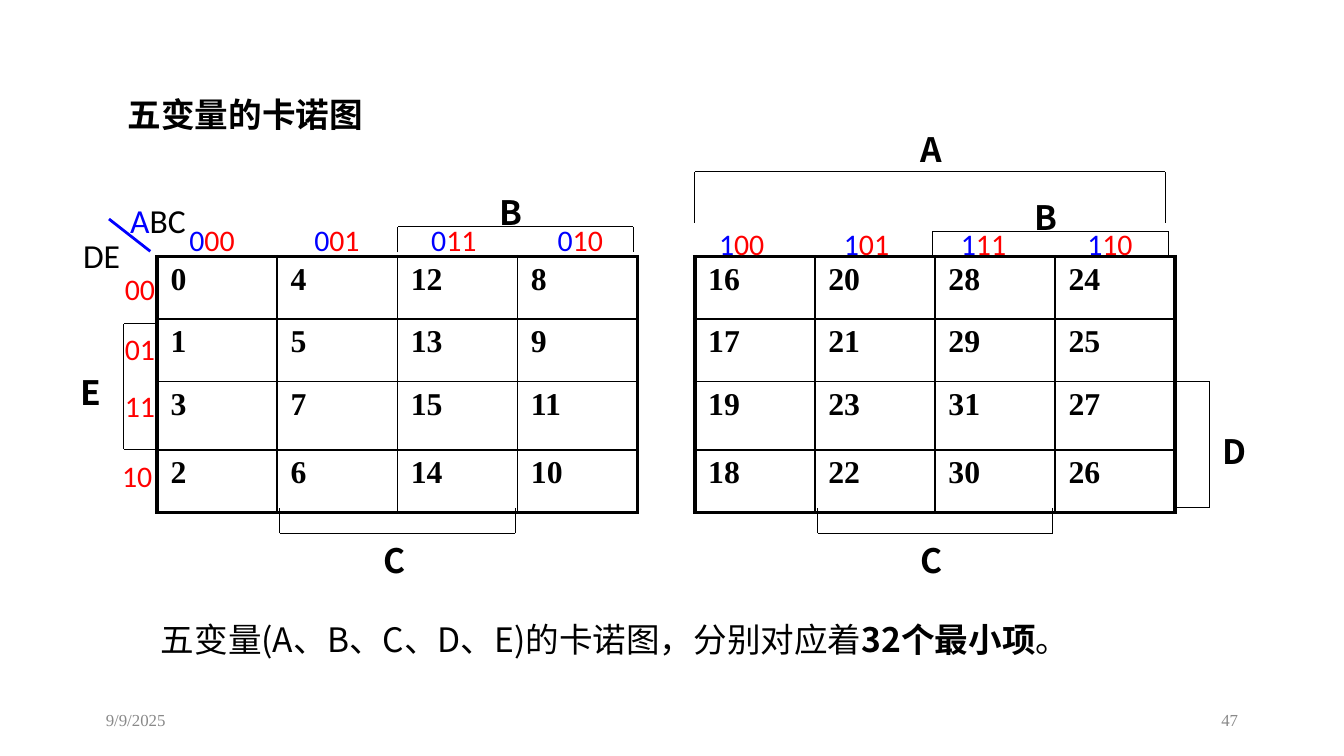
import pptx
import pptx.dml.color
import pptx.enum.shapes
import pptx.enum.text
import pptx.oxml
import pptx.oxml.ns
import pptx.util
from pptx.util import Cm

SANS, SERIF, LABEL = "Noto Sans CJK SC", "Times New Roman", "Calibri"
BLACK, BLUE, RED, GREY, WHITE = "000000", "0000FF", "FF0000", "898989", "FFFFFF"
COL_W = 2.27
ROW_H = [1.18, 1.18, 1.3, 1.18]
GRAY_ORDER = ["00", "01", "11", "10"]


def rgb(hex_color):
    return pptx.dml.color.RGBColor.from_string(hex_color)


def format_run(r, size, font, color, bold=False):
    r.font.size = pptx.util.Pt(size)
    r.font.name = font
    r.font.bold = bold
    r.font.color.rgb = rgb(color)
    ea = pptx.oxml.parse_xml(
        f'<a:ea {pptx.oxml.ns.nsdecls("a")} typeface="{font}"/>')
    r.font._element.find(pptx.oxml.ns.qn("a:latin")).addnext(ea)


def add_text(s, box, parts, size, font, align="LEFT", anchor="TOP"):
    """Add a one-line text box; parts are (text, colour, bold) triples."""
    tf = s.shapes.add_textbox(*map(Cm, box)).text_frame
    tf.word_wrap = True
    tf.vertical_anchor = getattr(pptx.enum.text.MSO_ANCHOR, anchor)
    p = tf.paragraphs[0]
    p.alignment = getattr(pptx.enum.text.PP_ALIGN, align)
    for text, color, bold in parts:
        r = p.add_run()
        r.text = text
        format_run(r, size, font, color, bold)
    return p


def add_line(s, start, end, color, width):
    line = s.shapes.add_connector(
        pptx.enum.shapes.MSO_CONNECTOR.STRAIGHT, *map(Cm, (*start, *end)))
    line.line.color.rgb = rgb(color)
    line.line.width = pptx.util.Pt(width)
    line._element.spPr.append(
        pptx.oxml.parse_xml(f'<a:effectLst {pptx.oxml.ns.nsdecls("a")}/>'))


def add_title(s, box, text):
    sp = s.shapes.title
    sp.left, sp.top, sp.width, sp.height = map(Cm, box)
    tf = sp.text_frame
    tf.text = text
    tf.auto_size = pptx.enum.text.MSO_AUTO_SIZE.NONE
    tf.vertical_anchor = pptx.enum.text.MSO_ANCHOR.TOP
    p = tf.paragraphs[0]
    p.alignment = pptx.enum.text.PP_ALIGN.LEFT
    p.line_spacing = 0.9
    format_run(p.runs[0], 18, SANS, BLACK, True)


def add_summary(s, box):
    p = add_text(s, box, [
        ("五变量(A、B、C、D、E)的卡诺图，分别对应着", BLACK, False),
        ("32个最小项", BLACK, True),
        ("。", BLACK, False)], 18, SANS)
    p.line_spacing = 0.9
    pPr = p._p.get_or_add_pPr()
    pPr.set("marL", str(Cm(0.48)))
    pPr.set("indent", str(-Cm(0.48)))


def set_borders(cell, widths):
    tcPr = cell._tc.get_or_add_tcPr()
    for side, width in widths.items():
        tcPr.append(pptx.oxml.parse_xml(
            f'<a:ln{side} {pptx.oxml.ns.nsdecls("a")} w="{pptx.util.Pt(width)}">'
            f'<a:solidFill><a:srgbClr val="{BLACK}"/></a:solidFill></a:ln{side}>'))


def add_map(s, x, y, first):
    """Draw a 4 x 4 map of the minterms from first, in Gray code order."""
    n = len(GRAY_ORDER)
    table = s.shapes.add_table(
        n, n, Cm(x), Cm(y), Cm(n * COL_W), Cm(sum(ROW_H))).table
    table.first_row = table.horz_banding = False
    for column in table.columns:
        column.width = Cm(COL_W)
    for i, row_code in enumerate(GRAY_ORDER):
        table.rows[i].height = Cm(ROW_H[i])
        for j, col_code in enumerate(GRAY_ORDER):
            cell = table.cell(i, j)
            cell.margin_top = cell.margin_bottom = Cm(0.1)
            edges = {"L": j == 0, "R": j == n - 1, "T": i == 0, "B": i == n - 1}
            set_borders(cell, {k: 2.25 if outer else 1 for k, outer in edges.items()})
            cell.fill.solid()
            cell.fill.fore_color.rgb = rgb(WHITE)
            cell.text = str(first + int(col_code + row_code, 2))
            format_run(cell.text_frame.paragraphs[0].runs[0], 17, SERIF, BLACK, True)


def add_column_codes(s, x, y, a):
    for dx, code in zip([0, 2.36, 4.57, 6.96], GRAY_ORDER):
        add_text(s, (x + dx, y, 1.55, 0.94),
                 [(a, BLUE, False), (code, RED, False)], 16, LABEL)


def add_row_codes(s, x, y):
    offsets = [(0.05, 0), (0.05, 1.12), (0.05, 2.21), (0, 3.53)]
    for (dx, dy), code in zip(offsets, GRAY_ORDER):
        add_text(s, (x + dx, y + dy, 1.27, 0.94), [(code, RED, False)], 16, LABEL)


def add_corner(s, x, y):
    """Name the variables of the columns and rows on either side of a slash."""
    add_line(s, (x + 0.74, y + 0.48), (x + 1.52, y + 1.09), BLUE, 1.5)
    add_text(s, (x + 0.89, y, 1.75, 1.02),
             [("A", BLUE, False), ("BC", BLACK, False)], 18, LABEL)
    add_text(s, (x, y + 0.66, 1.27, 1.02), [("DE", BLACK, False)], 18, LABEL)


def add_bracket(s, box, side, name, label_at):
    """Draw three sides of box, with side as the spine, and its variable name."""
    x, y, w, h = box
    corners = [(x, y), (x + w, y), (x + w, y + h), (x, y + h)]
    first = ["top", "right", "bottom", "left"].index(side) - 1
    path = [corners[(first + k) % 4] for k in range(4)]
    for start, end in zip(path, path[1:]):
        add_line(s, start, end, BLACK, 0.5)
    add_text(s, (*label_at, 1.48, 1.02), [(name, BLACK, True)], 18, SANS)


def add_footer(s, x, y, w, h):
    box_w = 5.72
    add_text(s, (x, y, box_w, h), [("9/9/2025", GREY, False)], 9, SERIF,
             anchor="MIDDLE")
    add_text(s, (x + w - box_w, y, box_w, h), [("47", GREY, False)], 9, SERIF,
             align="RIGHT", anchor="MIDDLE")


def main():
    prs = pptx.Presentation()
    prs.slide_width, prs.slide_height = Cm(25.4), Cm(14.29)
    s = prs.slides.add_slide(prs.slide_layouts[5])
    add_title(s, (2.16, 1.73, 20.96, 1.42), "五变量的卡诺图")
    add_summary(s, (2.79, 11.66, 23.5, 1.42))
    add_footer(s, 1.75, 13.23, 21.9, 0.76)

    for x, first in [(2.97, 0), (13.13, 16)]:
        add_map(s, x, 4.85, first)
        add_bracket(s, (x + 2.32, 9.6, 4.45, 0.48), "bottom", "C", (x + 4.02, 10.08))
    for x, y in [(7.52, 4.29), (17.63, 4.37)]:
        add_bracket(s, (x, y, 4.45, 0.48), "top", "B", (x + 1.68, y - 0.78))
    add_bracket(s, (13.13, 3.25, 8.89, 0.96), "top", "A", (17.15, 2.31))
    add_bracket(s, (2.34, 6.12, 0.63, 2.37), "left", "E", (1.27, 6.91))
    add_bracket(s, (22.23, 7.22, 0.63, 2.38), "right", "D", (22.86, 8.03))

    add_column_codes(s, 3.33, 4.06, "0")
    add_column_codes(s, 13.34, 4.14, "1")
    add_row_codes(s, 2.06, 5)
    add_corner(s, 1.32, 3.66)
    prs.save("out.pptx")


if __name__ == "__main__":
    main()
